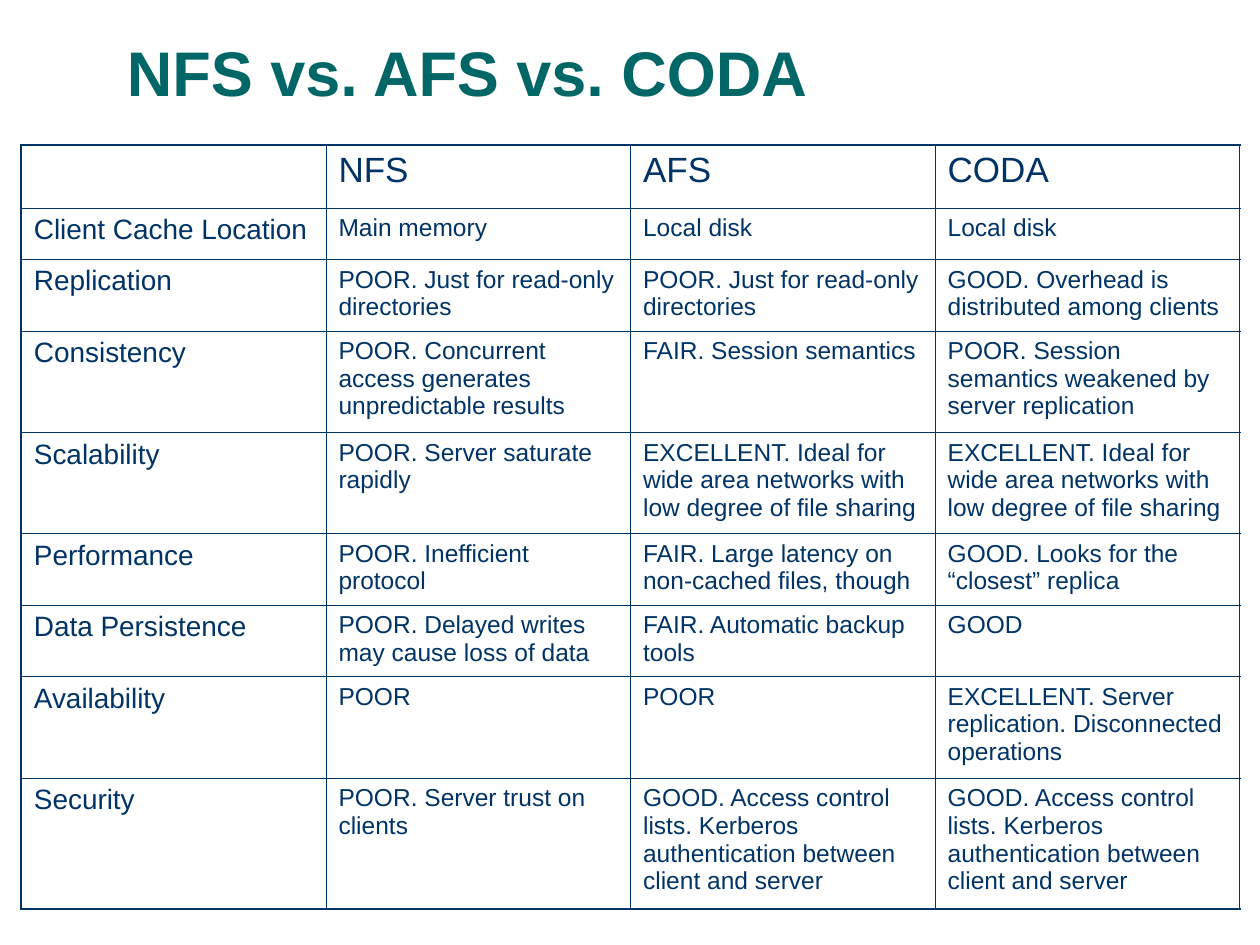
import pptx
import pptx.util
import pptx.dml.color
import pptx.enum.text
import pptx.oxml.ns
from dataclasses import dataclass
from lxml import etree

Cm = pptx.util.Cm
Pt = pptx.util.Pt


@dataclass(frozen=True)
class Theme:
    font: str = "Arial"
    title_color: str = "006666"
    ink: str = "003366"
    title_size: int = 36
    header_size: int = 20
    label_size: int = 16
    body_size: int = 14
    outer_line: float = 1.08
    inner_line: float = 0.45


THEME = Theme()

READ_ONLY = "POOR. Just for read-only directories"
WIDE_AREA = "EXCELLENT. Ideal for wide area networks with low degree of file sharing"
ACCESS = "GOOD. Access control lists. Kerberos authentication between client and server"

ROWS = [
    (1.28, ["", "NFS", "AFS", "CODA"]),
    (1.03, ["Client Cache Location", "Main memory", "Local disk", "Local disk"]),
    (1.44, ["Replication", READ_ONLY, READ_ONLY,
            "GOOD. Overhead is distributed among clients"]),
    (2.05, ["Consistency", "POOR. Concurrent access generates unpredictable results",
            "FAIR. Session semantics",
            "POOR. Session semantics weakened by server replication"]),
    (2.04, ["Scalability", "POOR. Server saturate rapidly", WIDE_AREA, WIDE_AREA]),
    (1.44, ["Performance", "POOR. Inefficient protocol",
            "FAIR. Large latency on non-cached files, though",
            "GOOD. Looks for the “closest” replica"]),
    (1.44, ["Data Persistence", "POOR. Delayed writes may cause loss of data",
            "FAIR. Automatic backup tools", "GOOD"]),
    (2.05, ["Availability", "POOR", "POOR",
            "EXCELLENT. Server replication. Disconnected operations"]),
    (2.63, ["Security", "POOR. Server trust on clients", ACCESS, ACCESS]),
]


def add_run(p, text, size, color, bold=False):
    r = p.add_run()
    r.text = text
    r.font.name = THEME.font
    r.font.size = Pt(size)
    r.font.bold = bold
    r.font.color.rgb = pptx.dml.color.RGBColor.from_string(color)


def add_title(s, text):
    sp = s.shapes.add_textbox(Cm(2.31), Cm(-0.43), Cm(21.62), Cm(2.77))
    tf = sp.text_frame
    tf.word_wrap = True
    tf.vertical_anchor = pptx.enum.text.MSO_ANCHOR.BOTTOM
    p = tf.paragraphs[0]
    p.line_spacing = 0.9
    add_run(p, text, THEME.title_size, THEME.title_color, bold=True)


def set_borders(cell, widths):
    qn = pptx.oxml.ns.qn
    tc_pr = cell._tc.get_or_add_tcPr()
    for i, (side, width) in enumerate(widths.items()):
        ln = etree.Element(qn(f"a:ln{side}"), w=str(int(Pt(width))))
        fill = etree.SubElement(ln, qn("a:solidFill"))
        etree.SubElement(fill, qn("a:srgbClr"), val=THEME.ink)
        tc_pr.insert(i, ln)


def text_size(row, col):
    if row == 0:
        return THEME.header_size
    return THEME.label_size if col == 0 else THEME.body_size


def add_comparison(s, rows):
    n_rows, n_cols = len(rows), len(rows[0][1])
    col_width = Cm(6.14)
    height = Cm(sum(h for h, _ in rows))
    table = s.shapes.add_table(n_rows, n_cols, Cm(0.43), Cm(2.92),
                               col_width * n_cols, height).table
    table.first_row = False
    table.horz_banding = False
    for column in table.columns:
        column.width = col_width
    for i, (row_height, texts) in enumerate(rows):
        table.rows[i].height = Cm(row_height)
        for j, text in enumerate(texts):
            cell = table.cell(i, j)
            cell.fill.background()
            edges = {"L": j == 0, "R": j == n_cols - 1,
                     "T": i == 0, "B": i == n_rows - 1}
            set_borders(cell, {side: THEME.outer_line if outer else THEME.inner_line
                               for side, outer in edges.items()})
            if text:
                add_run(cell.text_frame.paragraphs[0], text, text_size(i, j), THEME.ink)


def main():
    prs = pptx.Presentation()
    prs.slide_width, prs.slide_height = Cm(25.4), Cm(19.05)
    s = prs.slides.add_slide(prs.slide_layouts[6])
    add_title(s, "NFS vs. AFS vs. CODA")
    add_comparison(s, ROWS)
    prs.save("out.pptx")


if __name__ == "__main__":
    main()
